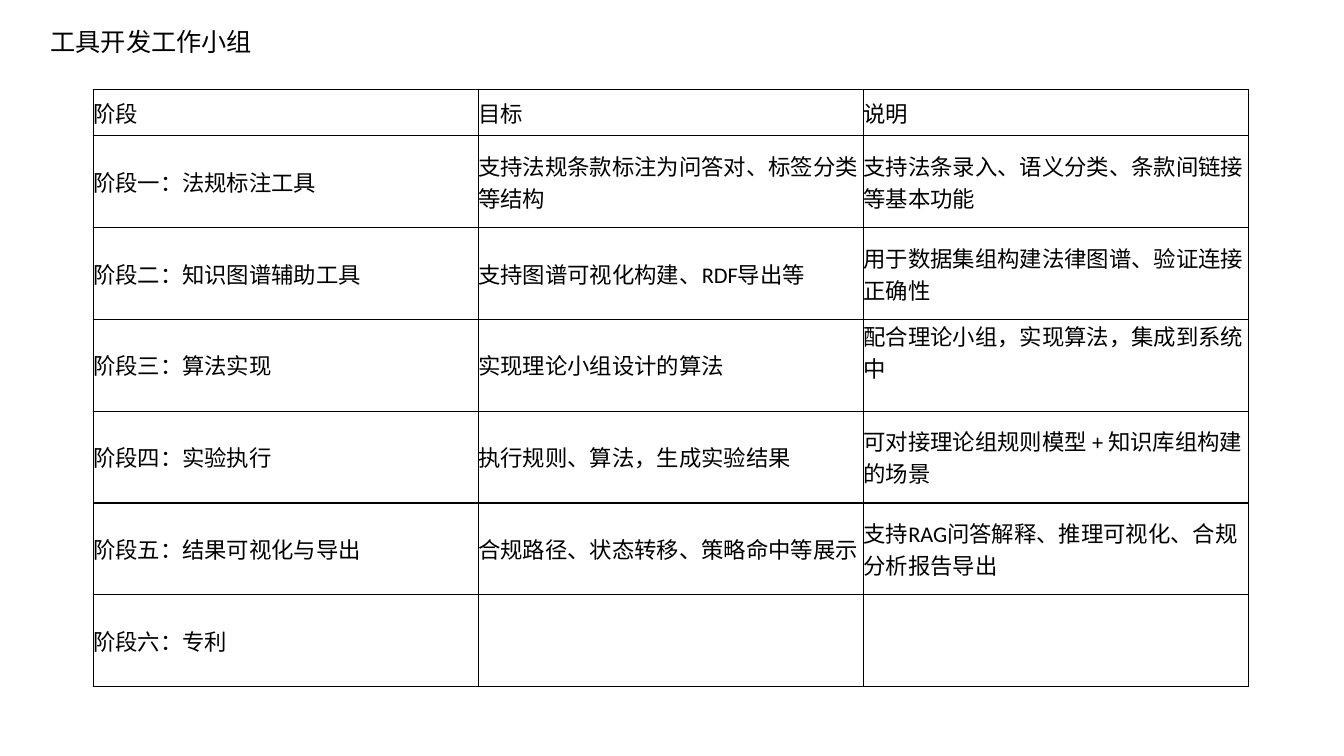
from lxml import etree
from pptx import Presentation
from pptx.dml.color import RGBColor
from pptx.enum.text import MSO_ANCHOR, MSO_AUTO_SIZE
from pptx.oxml.ns import qn
from pptx.util import Pt

MIDDLE = MSO_ANCHOR.MIDDLE
TOP = MSO_ANCHOR.TOP
GROW = MSO_AUTO_SIZE.SHAPE_TO_FIT_TEXT
INK = "000000"


def style(frame, size, color):
    for run in frame.paragraphs[0].runs:
        run.font.size = Pt(size)
        run.font.name = "Calibri"
        run.font.color.rgb = RGBColor.from_string(color)


def frame_cell(cell, color):
    props = cell._tc.get_or_add_tcPr()
    for spot, side in enumerate(("a:lnL", "a:lnR", "a:lnT", "a:lnB")):
        line = etree.Element(qn(side), w=str(Pt(1)))
        fill = etree.SubElement(line, qn("a:solidFill"))
        etree.SubElement(fill, qn("a:srgbClr"), val=color)
        props.insert(spot, line)


deck = Presentation()
deck.slide_width = Pt(960)
deck.slide_height = Pt(540)
slide = deck.slides.add_slide(deck.slide_layouts[6])

rows = [
    ("阶段", "目标", "说明"),
    ("阶段一：法规标注工具", "支持法规条款标注为问答对、标签分类等结构", "支持法条录入、语义分类、条款间链接等基本功能"),
    ("阶段二：知识图谱辅助工具", "支持图谱可视化构建、RDF导出等", "用于数据集组构建法律图谱、验证连接正确性"),
    ("阶段三：算法实现", "实现理论小组设计的算法", "配合理论小组，实现算法，集成到系统中"),
    ("阶段四：实验执行", "执行规则、算法，生成实验结果", "可对接理论组规则模型 + 知识库组构建的场景"),
    ("阶段五：结果可视化与导出", "合规路径、状态转移、策略命中等展示", "支持RAG问答解释、推理可视化、合规分析报告导出"),
    ("阶段六：专利", "", ""),
]

wide, head, tall = 275.2, 32.8, 65.6
table = slide.shapes.add_table(
    len(rows), 3, Pt(66.5), Pt(64.1), Pt(3 * wide), Pt(head + 6 * tall)
).table
table.first_row = False
table.horz_banding = False
for col in table.columns:
    col.width = Pt(wide)

for r, texts in enumerate(rows):
    table.rows[r].height = Pt(tall if r else head)
    for c, text in enumerate(texts):
        cell = table.cell(r, c)
        cell.margin_left = cell.margin_right = 0
        cell.margin_top = cell.margin_bottom = 0
        cell.vertical_anchor = MIDDLE
        cell.fill.background()
        frame_cell(cell, INK)
        cell.text_frame.text = text
        style(cell.text_frame, 16, INK)
table.cell(3, 2).vertical_anchor = TOP

title = slide.shapes.add_textbox(Pt(29), Pt(15.4), Pt(480), Pt(29)).text_frame
title.word_wrap = True
title.auto_size = GROW
title.text = "工具开发工作小组"
style(title, 18, INK)

deck.save("out.pptx")
